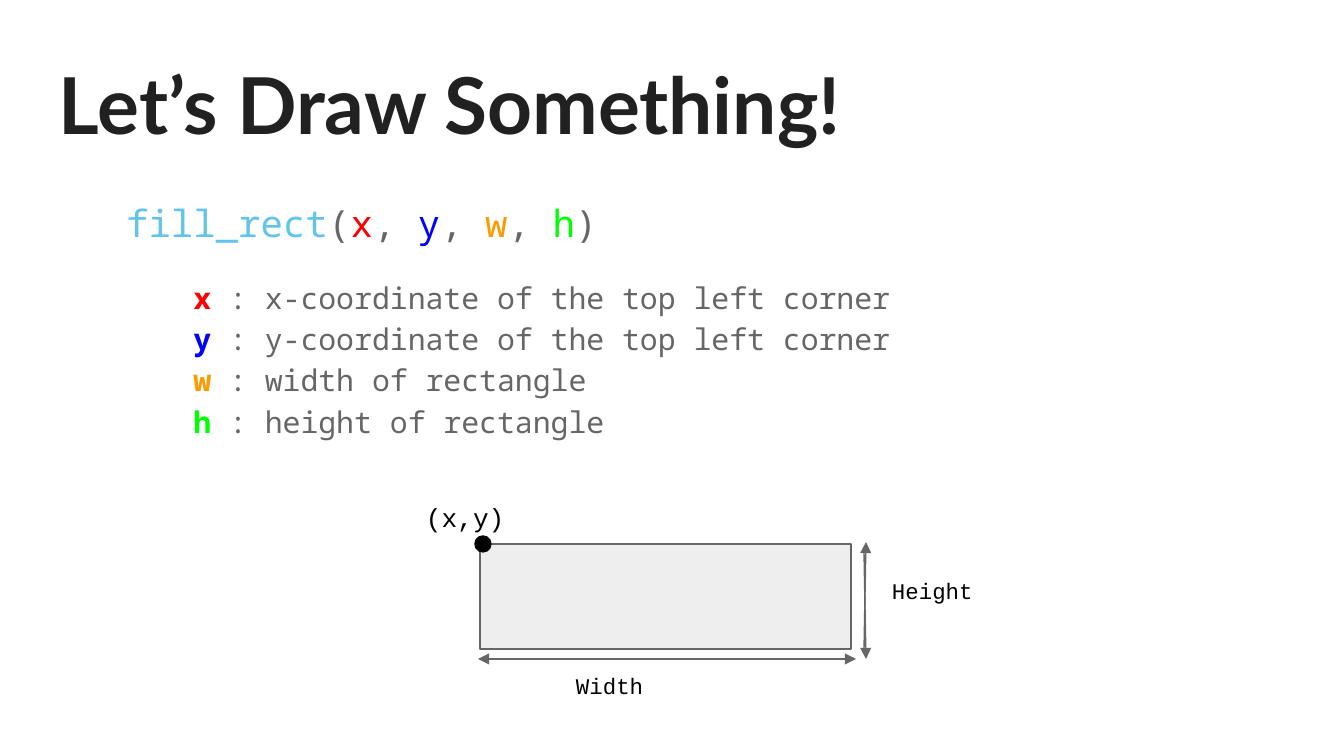
import pptx
import pptx.util
import pptx.dml.color
import pptx.enum.shapes
import pptx.oxml
import pptx.oxml.ns
import lxml.etree

PX = 914400 / 134.4
GREY, BLACK = "666666", "000000"
RED, BLUE, ORANGE, GREEN = "FF0000", "0000FF", "FF9900", "00FF00"
MONO = "Noto Sans Mono"


def rgb(value):
    return pptx.dml.color.RGBColor.from_string(value)


def box(shapes, bounds, lines, size, font):
    frame = shapes.add_textbox(*[round(v * PX) for v in bounds]).text_frame
    frame.word_wrap = True
    frame.margin_left = frame.margin_right = round(13 * PX)
    frame.margin_top = frame.margin_bottom = round(13 * PX)
    for number, pieces in enumerate(lines):
        paragraph = frame.add_paragraph() if number else frame.paragraphs[0]
        for words, color, bold in pieces:
            run = paragraph.add_run()
            run.text = words
            run.font.name = font
            run.font.size = pptx.util.Pt(size)
            run.font.bold = bold
            run.font.color.rgb = rgb(color)
    return frame.paragraphs


deck = pptx.Presentation()
deck.slide_width, deck.slide_height = round(1344 * PX), round(756 * PX)
slide = deck.slides.add_slide(deck.slide_layouts[6])

box(slide.shapes, (46, 43, 1253, 118),
    [[("Let’s Draw Something!", "212121", True)]], 42, "Lato")

parameters = [
    ("x", RED, "x-coordinate of the top left corner"),
    ("y", BLUE, "y-coordinate of the top left corner"),
    ("w", ORANGE, "width of rectangle"),
    ("h", GREEN, "height of rectangle"),
]
call = [("fill_rect", "61C4EB", False), ("(", GREY, False)]
for name, color, meaning in parameters:
    call += [(name, color, False), (")" if name == "h" else ", ", GREY, False)]
meanings = [[(name + " ", color, True), (": " + meaning, GREY, False)]
            for name, color, meaning in parameters]
explanation = box(slide.shapes, (46, 180, 930, 531), [call] + meanings, 16, MONO)
for number, paragraph in enumerate(explanation):
    paragraph.line_spacing = 1.15
    indent = pptx.util.Inches(1 if number else 0.5)
    paragraph._p.get_or_add_pPr().set("marL", str(indent))
for run in explanation[0].runs:
    run.font.size = pptx.util.Pt(20)
explanation[1].space_before = pptx.util.Pt(16)
explanation[-1].space_after = pptx.util.Pt(16)

diagram = slide.shapes.add_group_shape()
kinds = pptx.enum.shapes.MSO_SHAPE
for kind, bounds, fill, outline in [
    (kinds.RECTANGLE, (480, 544, 371, 105), "EEEEEE", GREY),
    (kinds.FLOWCHART_CONNECTOR, (475, 536, 16, 16), BLACK, BLACK),
]:
    part = diagram.shapes.add_shape(kind, *[round(v * PX) for v in bounds])
    part.shadow.inherit = False
    part.fill.solid()
    part.fill.fore_color.rgb = rgb(fill)
    part.line.color.rgb = rgb(outline)
    part.line.width = pptx.util.Pt(0.75)

for shapes, words, bounds, size in [
    (diagram.shapes, "(x,y)", (413, 488, 156, 31), 14),
    (slide.shapes, "Width", (563, 659, 231, 81), 12),
    (slide.shapes, "Height", (879, 564, 136, 56), 12),
]:
    box(shapes, bounds, [[(words, BLACK, False)]], size, "Courier New")

for ends in [
    (864, 550, 866, 659),
    (488, 659, 856, 659),
    (847, 659, 478, 659),
    (864, 652, 866, 542),
]:
    arrow = slide.shapes.add_connector(
        pptx.enum.shapes.MSO_CONNECTOR.STRAIGHT, *[round(v * PX) for v in ends])
    arrow.line.color.rgb = rgb(GREY)
    arrow.line.width = pptx.util.Pt(0.75)
    head = lxml.etree.SubElement(arrow.line._get_or_add_ln(), pptx.oxml.ns.qn("a:tailEnd"))
    head.set("type", "triangle")
    lxml.etree.SubElement(arrow._element.spPr, pptx.oxml.ns.qn("a:effectLst"))

deck.save("out.pptx")
